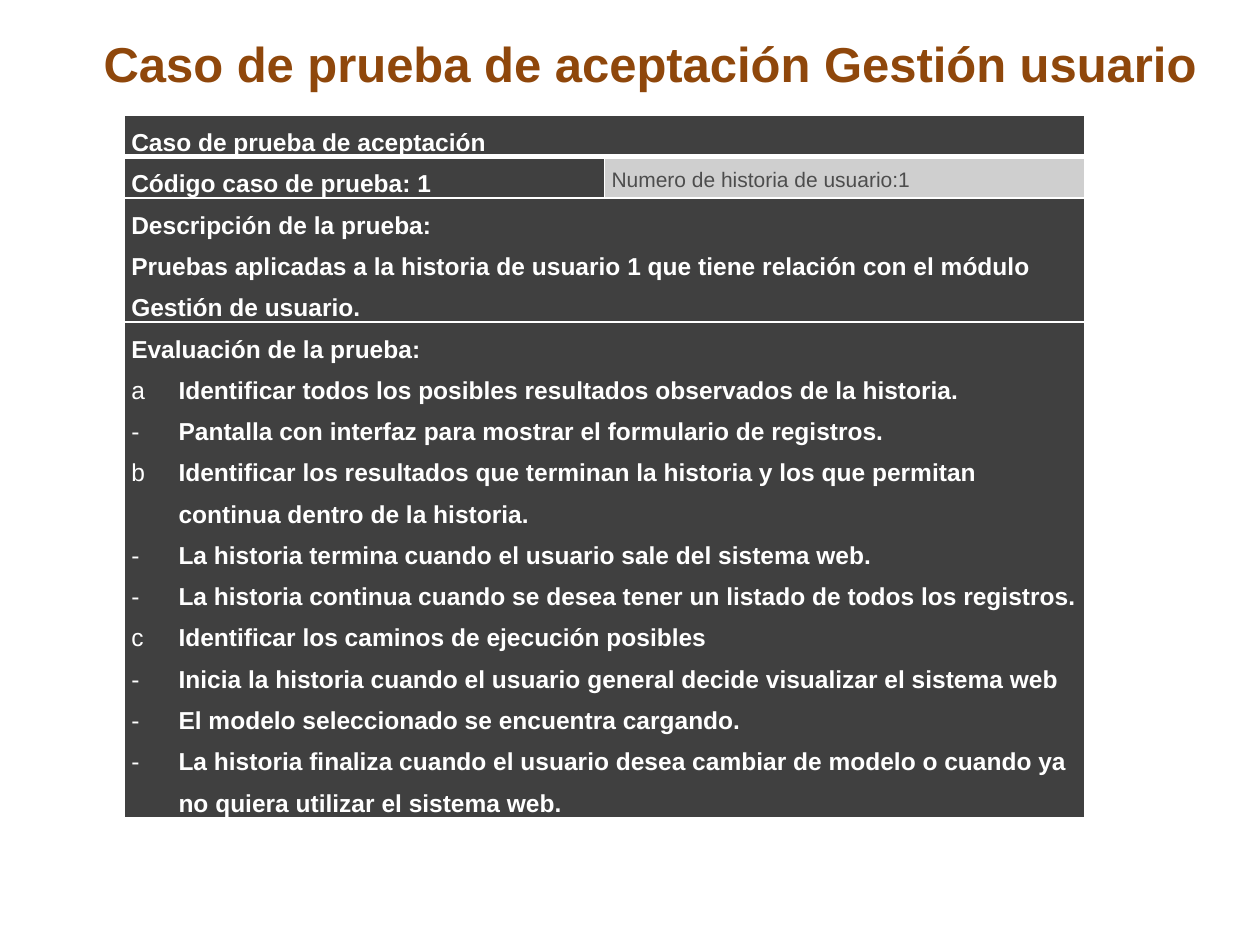
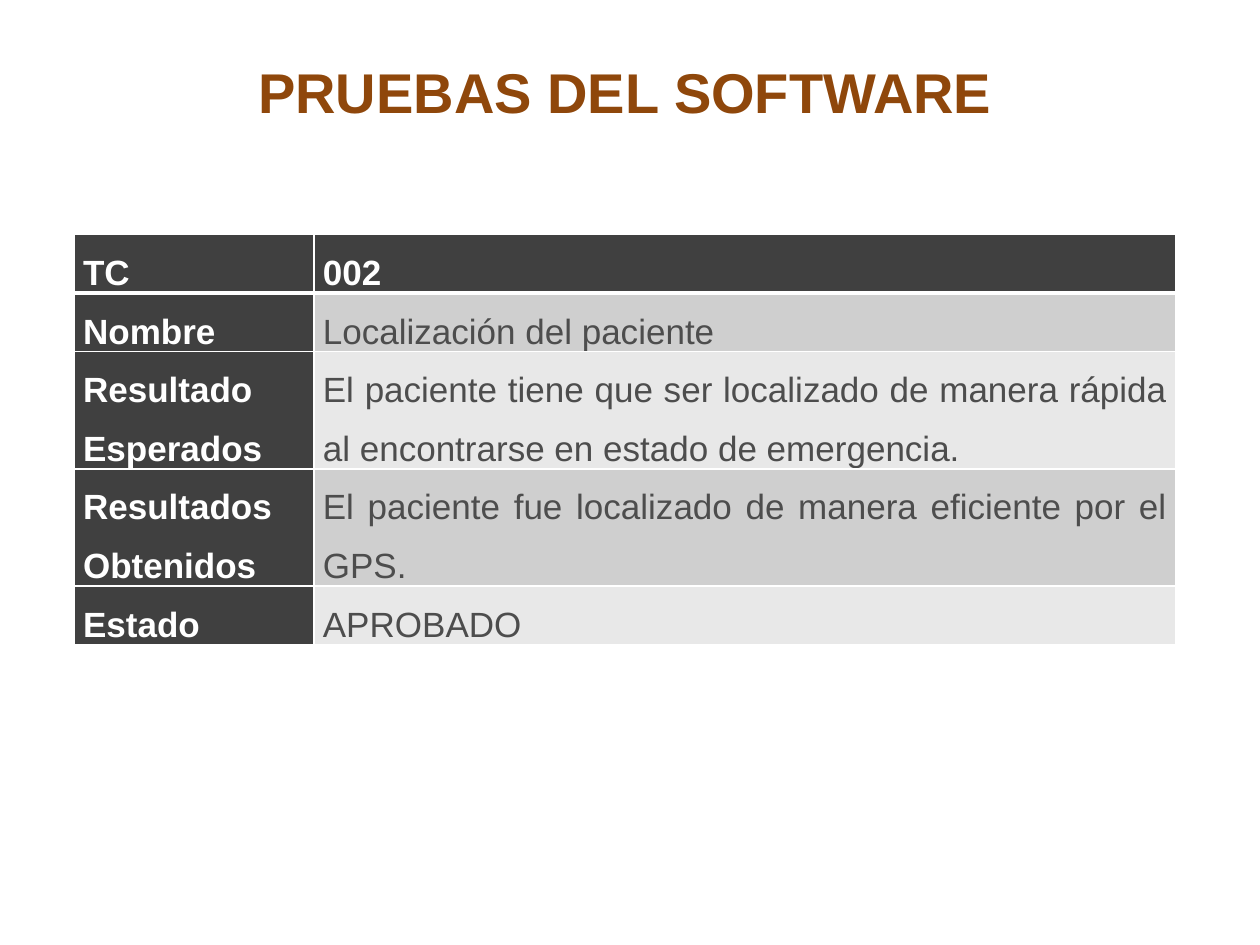
"""Build two slides of software test case tables."""
from dataclasses import dataclass

from lxml.etree import SubElement
from pptx import Presentation
from pptx.dml.color import RGBColor
from pptx.enum.text import MSO_ANCHOR, MSO_AUTO_SIZE, PP_ALIGN
from pptx.oxml.ns import qn
from pptx.util import Pt


@dataclass(frozen=True)
class Theme:
    font: str = "Arial"
    title: str = "8F470B"
    dark: str = "404040"
    band: str = "CFCFCF"
    light_band: str = "E8E8E8"
    text: str = "4D4D4D"
    white: str = "FFFFFF"
    acceptance_title_size: int = 28
    software_title_size: int = 32
    acceptance_size: int = 14
    story_size: int = 12
    software_size: int = 20
    line_spacing: float = 1.5
    bullet_indent: int = 27


theme = Theme()


def add_titled_table(title, title_box, title_size, table_box, columns, rows):
    """Add a slide with a title and an empty table, and return the table."""
    slide = presentation.slides.add_slide(presentation.slide_layouts[5])
    shape = slide.shapes.title
    shape.left, shape.top, shape.width, shape.height = map(Pt, title_box)
    text_frame = shape.text_frame
    text_frame.text = title
    text_frame.auto_size = MSO_AUTO_SIZE.NONE
    text_frame.vertical_anchor = MSO_ANCHOR.MIDDLE
    paragraph = text_frame.paragraphs[0]
    paragraph.alignment = PP_ALIGN.CENTER
    font = paragraph.runs[0].font
    font.name, font.size, font.bold = theme.font, Pt(title_size), True
    font.color.rgb = RGBColor.from_string(theme.title)

    table = slide.shapes.add_table(
        len(rows), len(columns), *map(Pt, table_box), Pt(sum(columns)), Pt(sum(rows))
    ).table
    for column, width in zip(table.columns, columns):
        column.width = Pt(width)
    for row, height in zip(table.rows, rows):
        row.height = Pt(height)
    return table


def fill_cell(cell, row, text, fill, size, inset, alignment, bullets=()):
    """Write and format one cell, with white borders around it."""
    cell.text_frame.text = text
    cell.margin_left = cell.margin_right = Pt(inset)
    cell.margin_top = cell.margin_bottom = 0
    properties = cell._tc.get_or_add_tcPr()
    for side in "LRTB":
        under_header = (row, side) in ((0, "B"), (1, "T"))
        line = SubElement(properties, qn(f"a:ln{side}"), w=str(Pt(3 if under_header else 1)))
        SubElement(SubElement(line, qn("a:solidFill")), qn("a:srgbClr"), val=theme.white)
    cell.fill.solid()
    cell.fill.fore_color.rgb = RGBColor.from_string(fill)

    is_dark = fill == theme.dark
    for index, paragraph in enumerate(cell.text_frame.paragraphs):
        if index < len(bullets) and bullets[index]:
            paragraph_properties = paragraph._p.get_or_add_pPr()
            paragraph_properties.set("marL", str(Pt(theme.bullet_indent)))
            paragraph_properties.set("indent", str(-Pt(theme.bullet_indent)))
            bullet_color = SubElement(paragraph_properties, qn("a:buClr"))
            SubElement(bullet_color, qn("a:srgbClr"), val=theme.white)
            SubElement(paragraph_properties, qn("a:buFont"), typeface=theme.font)
            SubElement(paragraph_properties, qn("a:buChar"), char=bullets[index])
        paragraph.alignment = alignment
        paragraph.line_spacing = theme.line_spacing
        for run in paragraph.runs:
            font = run.font
            font.name, font.size, font.bold = theme.font, Pt(size), is_dark
            font.color.rgb = RGBColor.from_string(theme.white if is_dark else theme.text)


presentation = Presentation()
presentation.slide_width, presentation.slide_height = Pt(720), Pt(540)

evaluation = [
    ("", "Evaluación de la prueba:"),
    ("a", "Identificar todos los posibles resultados observados de la historia."),
    ("-", "Pantalla con interfaz para mostrar el formulario de registros."),
    ("b", "Identificar los resultados que terminan la historia y los que permitan "
          "continua dentro de la historia."),
    ("-", "La historia termina cuando el usuario sale del sistema web."),
    ("-", "La historia continua cuando se desea tener un listado de todos los registros."),
    ("c", "Identificar los caminos de ejecución posibles"),
    ("-", "Inicia la historia cuando el usuario general decide visualizar el sistema web"),
    ("-", "El modelo seleccionado se encuentra cargando."),
    ("-", "La historia finaliza cuando el usuario desea cambiar de modelo o cuando ya "
          "no quiera utilizar el sistema web."),
]
evaluation_bullets, evaluation_lines = zip(*evaluation)
acceptance_rows = [
    ("Caso de prueba de aceptación",),
    ("Código caso de prueba: 1", "Numero de historia de usuario:1"),
    ("Descripción de la prueba:\nPruebas aplicadas a la historia de usuario 1 que tiene "
     "relación con el módulo Gestión de usuario.",),
    ("\n".join(evaluation_lines),),
]
acceptance_table = add_titled_table(
    "Caso de prueba de aceptación Gestión usuario", (0, 22, 743, 28),
    theme.acceptance_title_size, (71, 66), (274.5, 274.5), (19.5, 19.5, 64, 263.5),
)
for row, texts in enumerate(acceptance_rows):
    if len(texts) == 1:
        acceptance_table.cell(row, 0).merge(acceptance_table.cell(row, 1))
    for column, text in enumerate(texts):
        fill_cell(
            acceptance_table.cell(row, column), row, text,
            theme.band if column else theme.dark,
            theme.story_size if column else theme.acceptance_size,
            4, PP_ALIGN.LEFT, evaluation_bullets if row == 3 else (),
        )

software_rows = [
    ("TC", "002"),
    ("Nombre", "Localización del paciente"),
    ("Resultado\nEsperados", "El paciente tiene que ser localizado de manera rápida "
                             "al encontrarse en estado de emergencia."),
    ("Resultados\nObtenidos", "El paciente fue localizado de manera eficiente por el GPS."),
    ("Estado", "APROBADO"),
]
software_table = add_titled_table(
    "PRUEBAS DEL SOFTWARE", (88, 32, 538.5, 40),
    theme.software_title_size, (42.5, 134), (137, 492.5), (30, 30, 64, 64, 30),
)
for row, texts in enumerate(software_rows):
    band = theme.band if row % 2 else theme.light_band
    for column, text in enumerate(texts):
        fill_cell(
            software_table.cell(row, column), row, text,
            band if row and column else theme.dark,
            theme.software_size, 5, PP_ALIGN.JUSTIFY,
        )

presentation.save("out.pptx")
